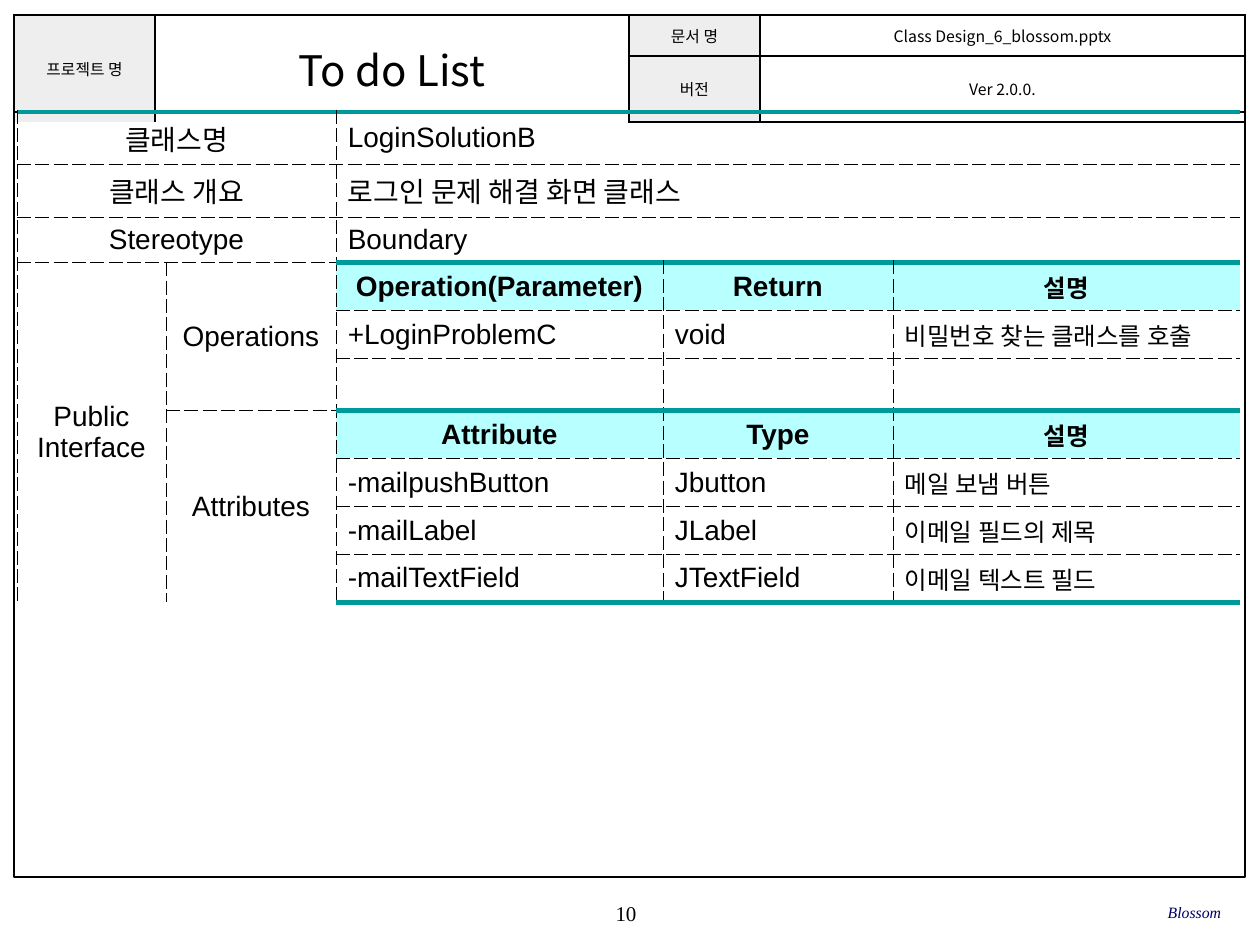
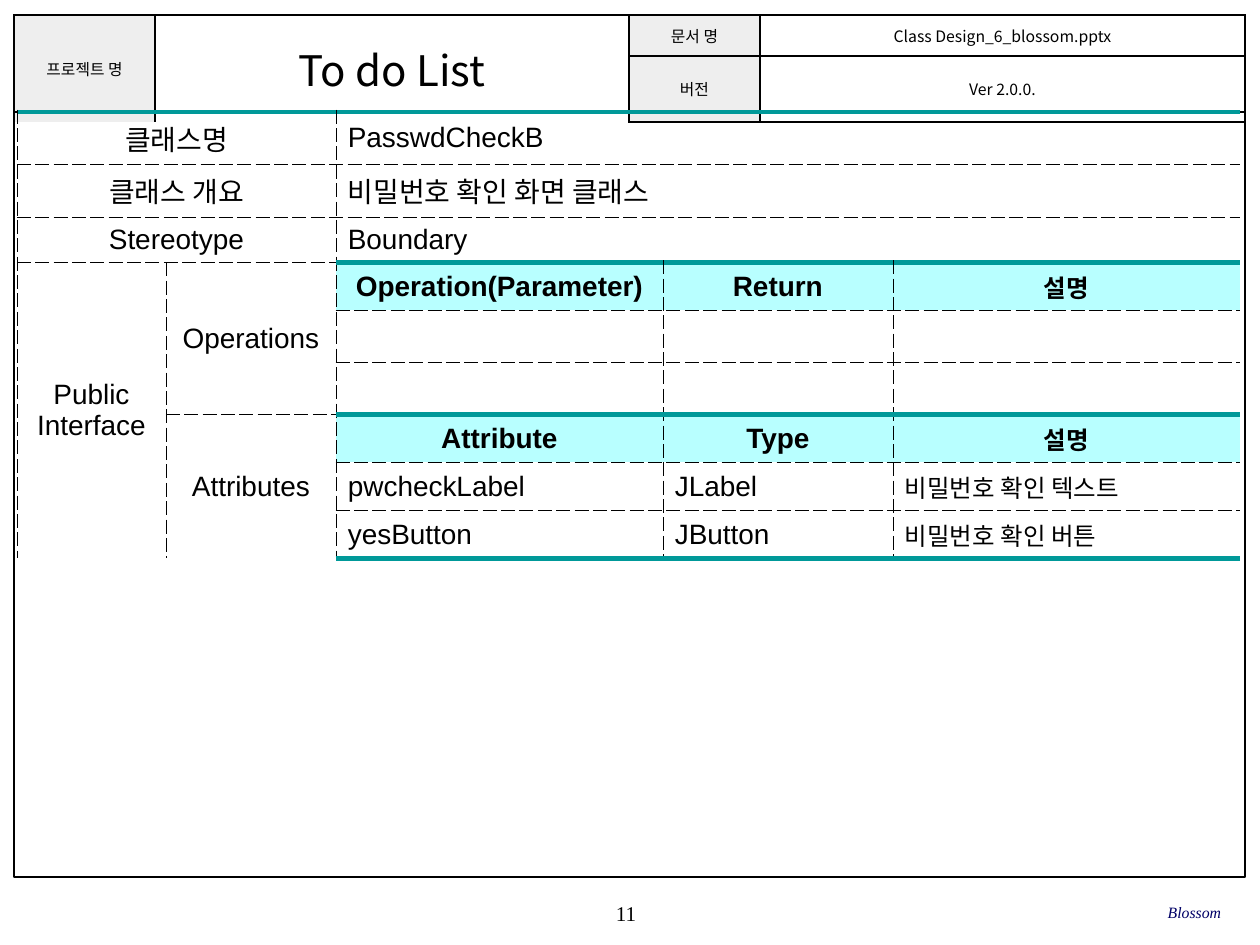
"""Build the class design slides of the To do List project."""
from collections.abc import Callable
from dataclasses import dataclass, field

from lxml.etree import SubElement
from pptx import Presentation
from pptx.dml.color import RGBColor
from pptx.enum.shapes import MSO_SHAPE as Shape
from pptx.enum.text import MSO_ANCHOR as Anchor, PP_ALIGN as Align
from pptx.oxml.ns import qn
from pptx.util import Emu, Pt

PX_PER_INCH = 126
NO_GRID_STYLE = "{2D5ABB26-0587-4C30-8999-92F81FD0307C}"


@dataclass(frozen=True)
class Theme:
    """Colours, fonts and type sizes of the deck."""
    ink: str = "000000"
    teal: str = "009999"
    aqua: str = "B8FFFF"
    grey: str = "EEEEEE"
    navy: str = "000066"
    body_font: str = "Arial"
    header_font: str = "Noto Sans CJK KR"
    footer_font: str = "Times New Roman"
    title_size: int = 24
    body_size: int = 16
    note_size: int = 14
    page_size: int = 12
    small_size: int = 9


THEME = Theme()


@dataclass(frozen=True)
class Stroke:
    """A table border."""
    colour: str
    points: float
    dash: str = "solid"


SOLID = Stroke(THEME.ink, 1)
DASHED = Stroke(THEME.ink, 0.25, "lgDash")
THICK = Stroke(THEME.teal, 3)


@dataclass(frozen=True)
class Box:
    """A rectangle in px."""
    left: int
    top: int
    width: int
    height: int


@dataclass(frozen=True)
class Block:
    """A table cell, possibly spanning several rows and columns."""
    row: int
    column: int
    text: str = ""
    height: int = 1
    width: int = 1
    fill: str | None = None
    format: dict = field(default_factory=dict)


@dataclass(frozen=True)
class ClassDesign:
    """One documented class with its operations and attributes."""
    page: int
    name: str
    summary: str
    operations: list[tuple[str, str, str]]
    attributes: list[tuple[str, str, str]]


EdgeRule = Callable[[str, int, int], Stroke | None]
EMPTY_ROW = ("", "", "")
FRAME = Box(14, 112, 1231, 765)
PAGE_NUMBER = Box(495, 892, 262, 42)
TEAM_NAME = Box(835, 891, 386, 42)
HEADER_COLUMNS, HEADER_ROWS = [141, 474, 131, 485], [41, 66]
BODY_COLUMNS = [149, 170, 327, 230, 347]
SUMMARY_ROWS = [52, 53, 44]
FILLED_ROW, BLANK_ROW = 48, 52

DESIGNS = [
    ClassDesign(10, "LoginSolutionB", "로그인 문제 해결 화면 클래스",
                [("+LoginProblemC", "void", "비밀번호 찾는 클래스를 호출"), EMPTY_ROW],
                [("-mailpushButton", "Jbutton", "메일 보냄 버튼"),
                 ("-mailLabel", "JLabel", "이메일 필드의 제목"),
                 ("-mailTextField", "JTextField", "이메일 텍스트 필드")]),
    ClassDesign(11, "PasswdCheckB", "비밀번호 확인 화면 클래스",
                [EMPTY_ROW, EMPTY_ROW],
                [("pwcheckLabel", "JLabel", "비밀번호 확인 텍스트"),
                 ("yesButton", "JButton", "비밀번호 확인 버튼")]),
]


def px(length: float) -> Emu:
    """Turn px into EMU."""
    return Emu(round(length * 914400 / PX_PER_INCH))


def place(box: Box) -> tuple[Emu, Emu, Emu, Emu]:
    """Give the position and size of a box in EMU."""
    return px(box.left), px(box.top), px(box.width), px(box.height)


def write_text(frame, text: str, *, font: str = THEME.body_font,
               size: int = THEME.body_size, colour: str = THEME.ink,
               align: Align = Align.LEFT, bold: bool = False,
               italic: bool = False) -> None:
    """Write the lines of a text as formatted paragraphs."""
    for index, line in enumerate(text.split("\n")):
        paragraph = frame.add_paragraph() if index else frame.paragraphs[0]
        paragraph.alignment = align
        run = paragraph.add_run()
        run.text = line
        run.font.name, run.font.size = font, Pt(size)
        run.font.bold, run.font.italic = bold, italic
        run.font.color.rgb = RGBColor.from_string(colour)
        SubElement(run.font._element, qn("a:ea"), typeface=THEME.header_font)


def add_label(slide, box: Box, text: str, **text_format) -> None:
    """Add a text box without margins."""
    frame = slide.shapes.add_textbox(*place(box)).text_frame
    frame.word_wrap = True
    frame.vertical_anchor = Anchor.MIDDLE
    frame.margin_left = frame.margin_right = frame.margin_top = frame.margin_bottom = 0
    write_text(frame, text, **text_format)


def add_border(cell, side: str, stroke: Stroke | None) -> None:
    """Draw one side of a cell."""
    properties = cell._tc.get_or_add_tcPr()
    if stroke is None:
        SubElement(SubElement(properties, qn(f"a:ln{side}")), qn("a:noFill"))
        return
    line = SubElement(properties, qn(f"a:ln{side}"), w=str(Pt(stroke.points)))
    fill = SubElement(line, qn("a:solidFill"))
    SubElement(fill, qn("a:srgbClr"), val=stroke.colour)
    SubElement(line, qn("a:prstDash"), val=stroke.dash)


def style_block(table, block: Block, edge: EdgeRule, margins: tuple[int, int]) -> None:
    """Merge a block, then border, fill and pad its cells."""
    last_row = block.row + block.height - 1
    last_column = block.column + block.width - 1
    origin = table.cell(block.row, block.column)
    if block.height * block.width > 1:
        origin.merge(table.cell(last_row, last_column))
    for row in range(block.row, last_row + 1):
        for column in range(block.column, last_column + 1):
            cell = table.cell(row, column)
            sides = [("L", column == block.column, ("vertical", column, row)),
                     ("R", column == last_column, ("vertical", column + 1, row)),
                     ("T", row == block.row, ("horizontal", row, column)),
                     ("B", row == last_row, ("horizontal", row + 1, column))]
            for side, outer, position in sides:
                add_border(cell, side, edge(*position) if outer else None)
            if block.fill:
                cell.fill.solid()
                cell.fill.fore_color.rgb = RGBColor.from_string(block.fill)
            else:
                cell.fill.background()
            cell.vertical_anchor = Anchor.MIDDLE
            cell.margin_left = cell.margin_right = px(margins[0])
            cell.margin_top = cell.margin_bottom = px(margins[1])
    if block.text:
        write_text(origin.text_frame, block.text, **block.format)


def add_grid(slide, left: int, top: int, columns: list[int], rows: list[int],
             blocks: list[Block], edge: EdgeRule, margins: tuple[int, int]) -> None:
    """Add a table made of blocks."""
    box = Box(left, top, sum(columns), sum(rows))
    table = slide.shapes.add_table(len(rows), len(columns), *place(box)).table
    table.first_row = table.horz_banding = False
    table._tbl.tblPr.find(qn("a:tableStyleId")).text = NO_GRID_STYLE
    for column, width in zip(table.columns, columns):
        column.width = px(width)
    for row, height in zip(table.rows, rows):
        row.height = px(height)
    for block in blocks:
        style_block(table, block, edge, margins)


def add_header(slide) -> None:
    """Add the project header table."""
    small = dict(font=THEME.header_font, size=THEME.small_size, align=Align.CENTER)
    title = small | dict(size=THEME.title_size)
    blocks = [
        Block(0, 0, "프로젝트 명", height=2, fill=THEME.grey, format=small),
        Block(0, 1, "To do List", height=2, format=title),
        Block(0, 2, "문서 명", fill=THEME.grey, format=small),
        Block(0, 3, "Class Design_6_blossom.pptx", format=small),
        Block(1, 2, "버전", fill=THEME.grey, format=small),
        Block(1, 3, "Ver 2.0.0.", format=small),
    ]
    add_grid(slide, FRAME.left, 15, HEADER_COLUMNS, HEADER_ROWS, blocks,
             lambda direction, line, cross: SOLID, (5, 2))


def add_page_parts(slide, page: int) -> None:
    """Add the header, frame and footers shared by all slides."""
    add_label(slide, PAGE_NUMBER, str(page), font=THEME.footer_font,
              size=THEME.page_size, align=Align.CENTER)
    add_header(slide)
    frame = slide.shapes.add_shape(Shape.RECTANGLE, *place(FRAME))
    frame.shadow.inherit = False
    frame.fill.background()
    frame.line.color.rgb = RGBColor.from_string(THEME.ink)
    frame.line.width = Pt(0.75)
    add_label(slide, TEAM_NAME, "Blossom", font=THEME.footer_font,
              size=THEME.small_size, colour=THEME.navy, align=Align.RIGHT, italic=True)


def section_blocks(first_row: int, label: str, headings: tuple[str, str, str],
                   members: list[tuple[str, str, str]]) -> list[Block]:
    """List the blocks of a section: its label, headings and members."""
    blocks = [Block(first_row, 1, label, height=len(members) + 1,
                    format=dict(align=Align.CENTER))]
    for offset, texts in enumerate([headings, *members]):
        heading = offset == 0
        for column, text in enumerate(texts, start=2):
            size = THEME.note_size if column == 4 else THEME.body_size
            text_format = dict(size=size, bold=heading,
                               align=Align.CENTER if heading else Align.LEFT)
            blocks.append(Block(first_row + offset, column, text, format=text_format,
                                fill=THEME.aqua if heading else None))
    return blocks


def add_class_table(slide, design: ClassDesign) -> None:
    """Add the table that documents one class."""
    centred = dict(align=Align.CENTER)
    members = [EMPTY_ROW, *design.operations, EMPTY_ROW, *design.attributes]
    operation_row = len(SUMMARY_ROWS)
    attribute_row = operation_row + len(design.operations) + 1
    section_rows = (operation_row, attribute_row)
    rows = SUMMARY_ROWS + [
        FILLED_ROW if any(member) or row in section_rows else BLANK_ROW
        for row, member in enumerate(members, start=operation_row)]

    def edge(direction: str, line: int, cross: int) -> Stroke | None:
        """Choose the border on a grid line."""
        if direction == "vertical":
            return None if line == len(BODY_COLUMNS) else DASHED
        section_top = cross >= 2 and line in section_rows
        return THICK if line in (0, len(rows)) or section_top else DASHED

    summary = [("클래스명", design.name), ("클래스 개요", design.summary),
               ("Stereotype", "Boundary")]
    blocks = [Block(operation_row, 0, "Public\nInterface", height=len(members),
                    format=centred)]
    for row, (label, value) in enumerate(summary):
        blocks += [Block(row, 0, label, width=2, format=centred),
                   Block(row, 2, value, width=3)]
    blocks += section_blocks(operation_row, "Operations",
                             ("Operation(Parameter)", "Return", "설명"), design.operations)
    blocks += section_blocks(attribute_row, "Attributes",
                             ("Attribute", "Type", "설명"), design.attributes)
    add_grid(slide, 17, FRAME.top, BODY_COLUMNS, rows, blocks, edge, (12, 6))


def main() -> None:
    """Build and save the presentation."""
    presentation = Presentation()
    presentation.slide_width, presentation.slide_height = px(1260), px(945)
    for design in DESIGNS:
        slide = presentation.slides.add_slide(presentation.slide_layouts[6])
        add_page_parts(slide, design.page)
        add_class_table(slide, design)
    presentation.save("out.pptx")


if __name__ == "__main__":
    main()
